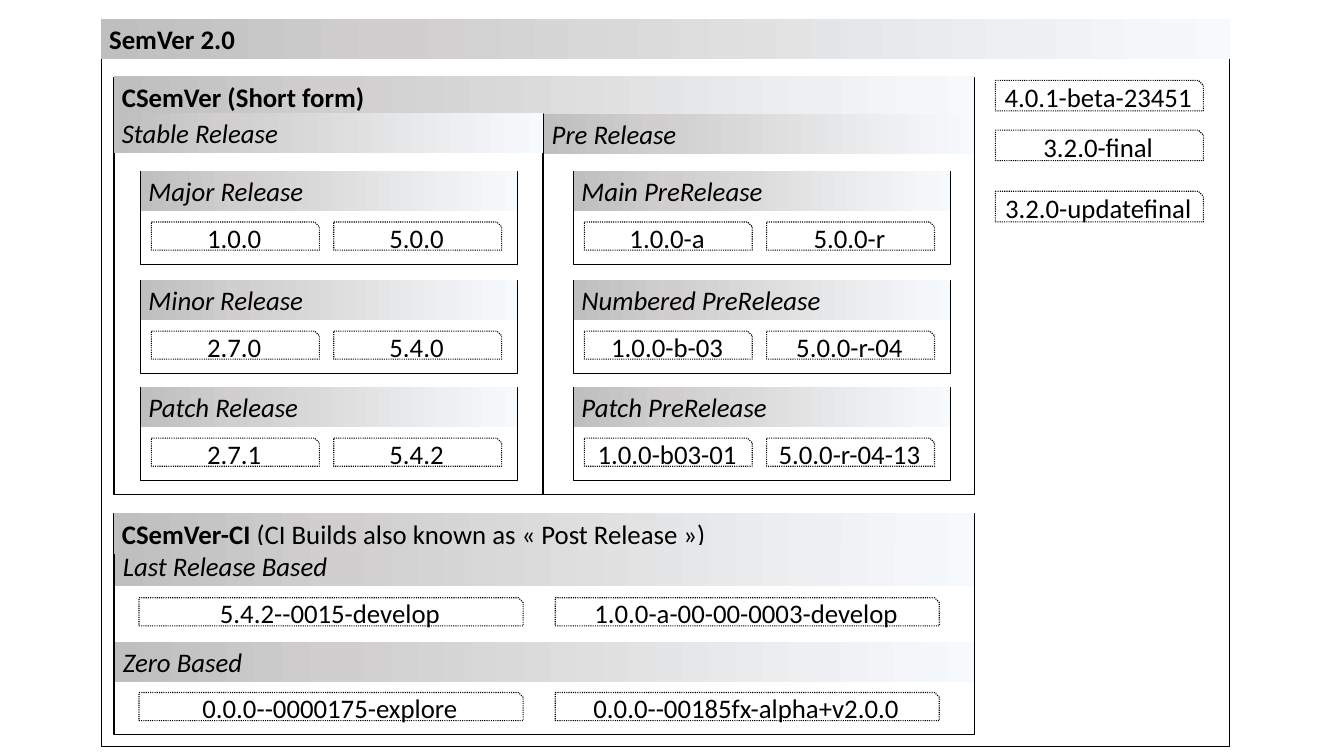
from copy import deepcopy
from dataclasses import dataclass

from pptx import Presentation
from pptx.dml.color import RGBColor
from pptx.enum.dml import MSO_LINE
from pptx.enum.shapes import MSO_SHAPE
from pptx.enum.text import MSO_ANCHOR, MSO_AUTO_SIZE, PP_ALIGN
from pptx.util import Pt

RECT, SNIP = MSO_SHAPE.RECTANGLE, MSO_SHAPE.SNIP_1_RECTANGLE
DOTS = MSO_LINE.ROUND_DOT
TOP, MIDDLE = MSO_ANCHOR.TOP, MSO_ANCHOR.MIDDLE
LEFT, CENTER = PP_ALIGN.LEFT, PP_ALIGN.CENTER
GROW = MSO_AUTO_SIZE.SHAPE_TO_FIT_TEXT


@dataclass(frozen=True)
class Theme:
    """Colours, font and sizes of the slide."""
    ink: str = "000000"
    fade: tuple = ((0, "BFBFBF"), (0.26, "D0CECE"), (1, "F7FAFD"))
    font: str = "Calibri"
    size: float = 24
    line: float = 1
    head: float = 36


class Board:
    """Draws boxes, headers and version chips on one slide."""

    def __init__(self, slide, theme):
        """Keep the slide and its style."""
        self.slide, self.theme = slide, theme

    def shape(self, kind, x, y, w, h):
        """Add a plain shape without fill or shadow."""
        shape = self.slide.shapes.add_shape(kind, Pt(x), Pt(y), Pt(w), Pt(h))
        shape.shadow.inherit = False
        shape.fill.background()
        return shape

    def edge(self, shape):
        """Give a shape the thin dark outline."""
        shape.line.color.rgb = RGBColor.from_string(self.theme.ink)
        shape.line.width = Pt(self.theme.line)

    def label(self, shape, runs, align, anchor):
        """Fill a shape with runs of (text, style), style being b, i or empty."""
        frame = shape.text_frame
        frame.vertical_anchor = anchor
        para = frame.paragraphs[0]
        para.alignment = align
        for text, style in runs:
            run = para.add_run()
            run.text = text
            font = run.font
            font.name, font.size = self.theme.font, Pt(self.theme.size)
            font.bold, font.italic = style == "b", style == "i"
            font.color.rgb = RGBColor.from_string(self.theme.ink)

    def box(self, x, y, w, h):
        """Draw an outlined box."""
        self.edge(self.shape(RECT, x, y, w, h))

    def header(self, x, y, w, *runs):
        """Draw a shaded title bar."""
        bar = self.shape(RECT, x, y, w, self.theme.head)
        bar.line.fill.background()
        bar.fill.gradient()
        bar.fill.gradient_angle = 0
        first = bar.element.spPr.eg_fillProperties.gsLst[0]
        first.addnext(deepcopy(first))
        for stop, (place, color) in zip(bar.fill.gradient_stops, self.theme.fade):
            stop.position = place
            stop.color.rgb = RGBColor.from_string(color)
        self.label(bar, runs, LEFT, TOP)
        bar.text_frame.word_wrap = True
        bar.text_frame.auto_size = GROW

    def chip(self, x, y, w, h, text):
        """Draw a dotted chip that shows a version."""
        chip = self.shape(SNIP, x, y, w, h)
        self.edge(chip)
        chip.line.dash_style = DOTS
        self.label(chip, [(text, "")], CENTER, MIDDLE)
        frame = chip.text_frame
        frame.word_wrap = False
        frame.margin_left = frame.margin_right = 0
        frame.margin_top = frame.margin_bottom = 0

    def pair(self, x, y, w, step, texts):
        """Draw a row of chips, one every step."""
        for col, text in enumerate(texts):
            self.chip(x + col * step, y, w, 25.2, text)

    def card(self, x, y, title, texts):
        """Draw a release card with its two versions."""
        self.box(x, y, 337.7, 83.5)
        self.header(x, y, 337.7, (title, "i"))
        self.pair(x + 9.7, y + 45.6, 150.5, 163.4, texts)


GROUPS = (
    ("Stable Release", 102.2, 101.5, 384.5, 126, (
        ("Major Release", ("1.0.0", "5.0.0")),
        ("Minor Release", ("2.7.0", "5.4.0")),
        ("Patch Release", ("2.7.1", "5.4.2")))),
    ("Pre Release", 487.4, 102.2, 385.9, 514, (
        ("Main PreRelease", ("1.0.0-a", "5.0.0-r")),
        ("Numbered PreRelease", ("1.0.0-b-03", "5.0.0-r-04")),
        ("Patch PreRelease", ("1.0.0-b03-01", "5.0.0-r-04-13")))),
)
BUILDS = (
    ("Last Release Based", 488.9, 535.7,
     ("5.4.2--0015-develop", "1.0.0-a-00-00-0003-develop")),
    ("Zero Based", 575.3, 620.6,
     ("0.0.0--0000175-explore", "0.0.0--00185fx-alpha+v2.0.0")),
)
OTHERS = ((72, "4.0.1-beta-23451"), (116.6, "3.2.0-final"),
          (171.4, "3.2.0-updatefinal"))
ROWS = (153.4, 251.1, 347)
BASE = 443.5


def main():
    """Build the slide and save it."""
    deck = Presentation()
    deck.slide_width, deck.slide_height = Pt(1204.56), Pt(677.52)
    board = Board(deck.slides.add_slide(deck.slide_layouts[6]), Theme())

    board.box(90.7, 18, 1011.6, 650.9)
    board.header(90.7, 16.6, 1011.6, ("SemVer 2.0", "b"))
    for y, text in OTHERS:
        board.chip(892.1, y, 186.5, 27.4, text)

    board.box(102.2, 69.1, 771.1, BASE - 69.1)
    board.header(102.2, 68.4, 771.1, ("CSemVer (Short form)", "b"))
    for title, x, y, w, inner, cards in GROUPS:
        board.box(x, y + 0.7, w, BASE - y - 0.7)
        board.header(x, y, w, (title, "i"))
        for top, (name, texts) in zip(ROWS, cards):
            board.card(inner, top, name, texts)

    board.box(102.2, 460.1, 771.1, 198)
    board.header(102.2, 460.1, 771.1, ("CSemVer-CI", "b"),
                 (" (CI Builds also known as «\u00a0Post Release\u00a0»)", ""))
    for title, y, row, texts in BUILDS:
        board.header(103, y, 769.7, (title, "i"))
        board.pair(124.6, row, 344.2, 373, texts)

    deck.save("out.pptx")


main()
